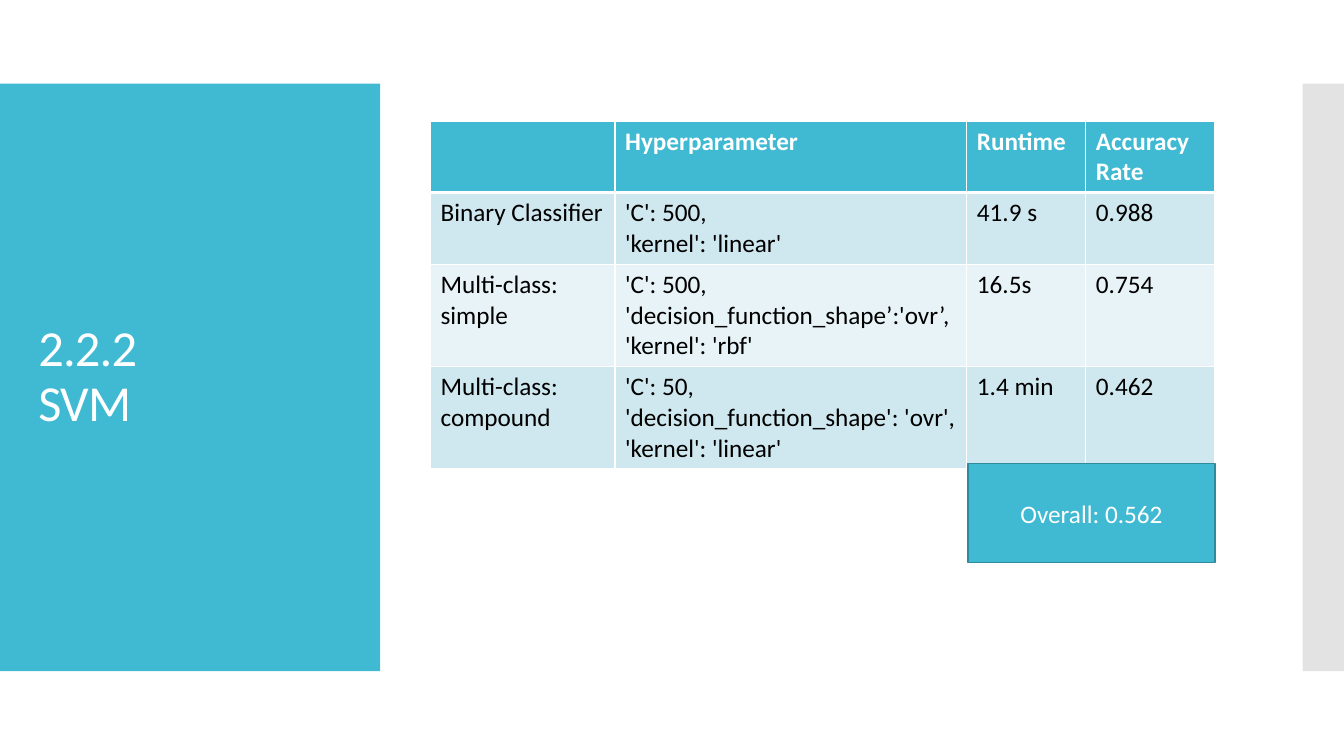
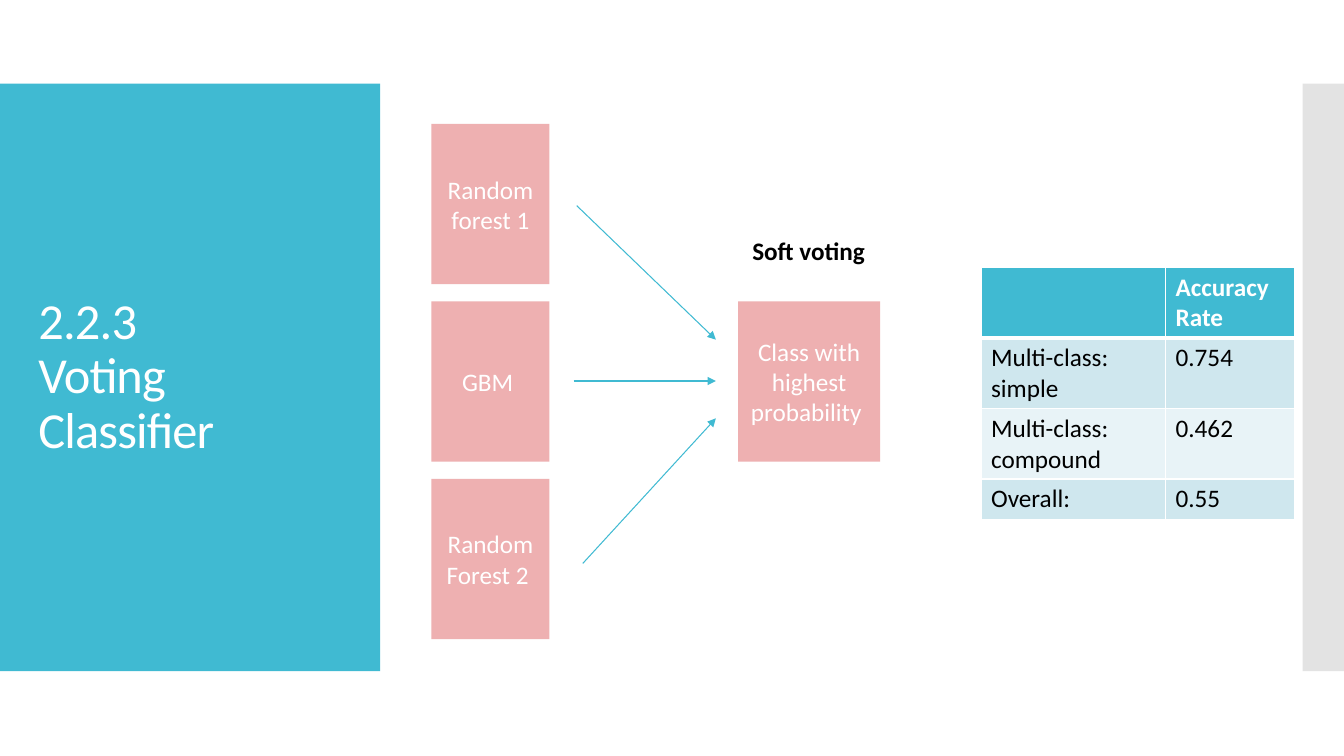
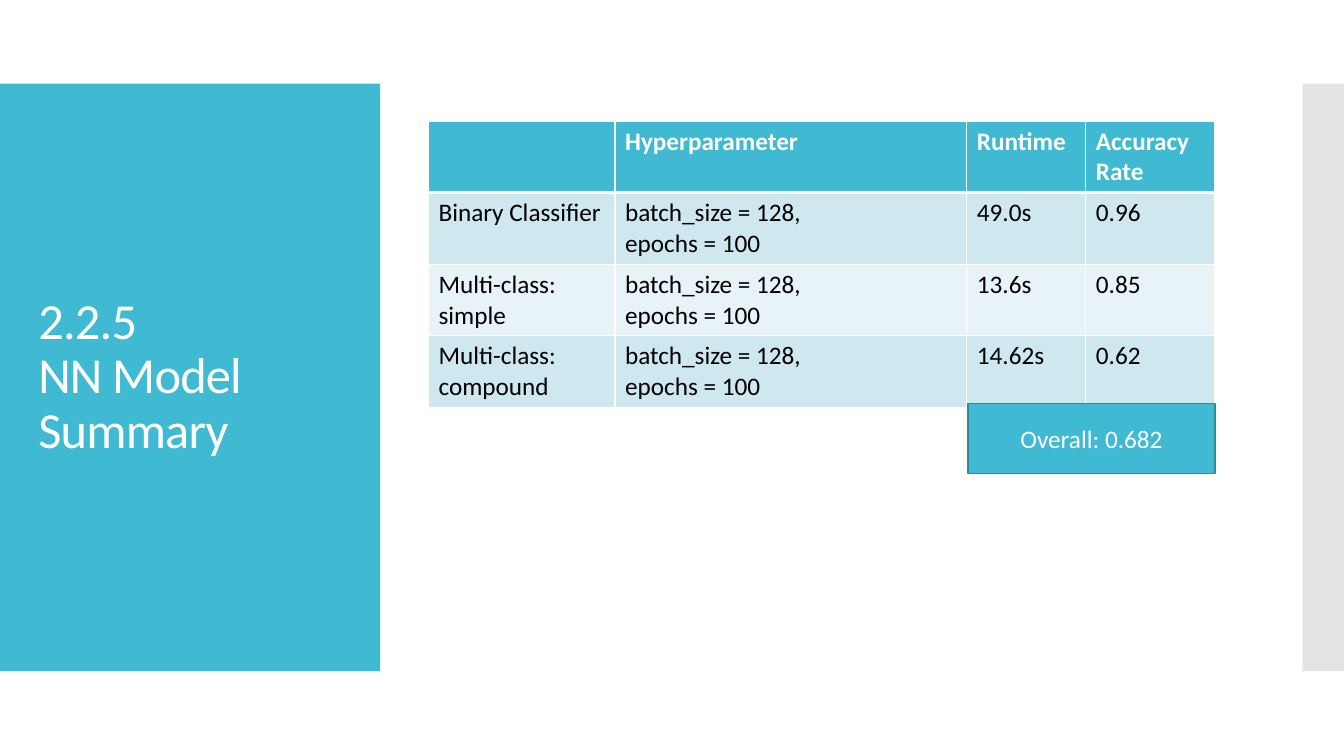
from dataclasses import dataclass

from lxml.etree import SubElement
from pptx import Presentation
from pptx.dml.color import RGBColor as RGB
from pptx.enum.shapes import MSO_CONNECTOR as CONN, MSO_SHAPE as SHAPE
from pptx.enum.text import MSO_ANCHOR as ANCHOR, MSO_AUTO_SIZE as FIT, PP_ALIGN as ALIGN
from pptx.oxml.ns import qn
from pptx.util import Inches, Pt


@dataclass(frozen=True)
class Theme:
    teal: str = "40BAD2"
    teal_dark: str = "2F8A9B"
    pink: str = "EEB0B1"
    gray: str = "C8C8C8"
    white: str = "FFFFFF"
    black: str = "000000"
    bands: tuple = ("CFE7EE", "E8F3F7")
    font: str = "Calibri"
    title_size: int = 36
    body_size: int = 18


T = Theme()


def set_text(tf, text, color, bold=False, align=ALIGN.CENTER):
    tf.word_wrap = True
    tf.text = text
    for p in tf.paragraphs:
        p.alignment = align
        for r in p.runs:
            r.font.name = T.font
            r.font.size = Pt(T.body_size)
            r.font.bold = bold
            r.font.color.rgb = RGB.from_string(color)


def add_grid(s, left, top, widths, heights, rows):
    tbl = s.shapes.add_table(len(rows), len(widths), Inches(left), Inches(top),
                             Inches(sum(widths)), Inches(sum(heights))).table
    for col, w in zip(tbl.columns, widths):
        col.width = Inches(w)
    for i, (row, h) in enumerate(zip(rows, heights)):
        tbl.rows[i].height = Inches(h)
        head = i == 0
        for j, text in enumerate(row):
            cell = tbl.cell(i, j)
            set_text(cell.text_frame, text, T.white if head else T.black, head, ALIGN.LEFT)
            # White cell borders, thick under the header
            tc_pr = cell._tc.get_or_add_tcPr()
            thick = {"lnB": i == 0, "lnT": i == 1}
            for side in ("lnL", "lnR", "lnT", "lnB"):
                ln = SubElement(tc_pr, qn("a:" + side), w=str(Pt(3 if thick.get(side) else 1)))
                SubElement(SubElement(ln, qn("a:solidFill")), qn("a:srgbClr"), val=T.white)
            cell.fill.solid()
            cell.fill.fore_color.rgb = RGB.from_string(T.teal if head else T.bands[(i - 1) % 2])


prs = Presentation()
prs.slide_width, prs.slide_height = Inches(13.33), Inches(7.5)
layout = prs.slide_layouts.get_by_name("Title Only")

# Title style, set once on the layout
title = layout.placeholders[0]
title.left, title.top, title.width, title.height = map(Inches, (0.28, 1.23, 3.22, 5.03))
title.text_frame.vertical_anchor = ANCHOR.MIDDLE
title.text_frame.auto_size = FIT.NONE
lst = title.element.find(".//" + qn("a:lstStyle"))
lst.clear()
lvl = SubElement(lst, qn("a:lvl1pPr"), algn="l")
SubElement(SubElement(lvl, qn("a:lnSpc")), qn("a:spcPct"), val="90000")
style = SubElement(lvl, qn("a:defRPr"), sz=str(T.title_size * 100), spc="-60")
SubElement(SubElement(style, qn("a:solidFill")), qn("a:srgbClr"), val=T.white)
SubElement(style, qn("a:latin"), typeface=T.font)

# Slides and their titles
slides = []
for text in ("2.2.2\vSVM", "2.2.3\vVoting\vClassifier", "2.2.5\vNN Model Summary"):
    s = prs.slides.add_slide(layout)
    s.shapes.title.text_frame.text = text
    slides.append(s)
svm, voting, network = slides

# Side bands, drawn once and moved to the layout behind the title
for left, width, color, alpha in ((0, 3.77, T.teal, 100), (12.92, 0.41, T.gray, 50)):
    sp = svm.shapes.add_shape(SHAPE.RECTANGLE, Inches(left), Inches(0.83),
                              Inches(width), Inches(5.83))
    sp.shadow.inherit = False
    sp.fill.solid()
    sp.fill.fore_color.rgb = RGB.from_string(color)
    sp.line.fill.background()
    if alpha < 100:
        clr = sp.element.spPr.find(".//" + qn("a:srgbClr"))
        SubElement(clr, qn("a:alpha"), val=str(alpha * 1000))
    layout.shapes.element.insert(2, sp.element)

# Model summaries: table with the overall score below
header = ("", "Hyperparameter", "Runtime", "Accuracy Rate")
names = ("Binary Classifier", "Multi-class:\nsimple", "Multi-class:\ncompound")
svm_rows = (
    ("'C': 500,\n'kernel': 'linear'", "41.9 s", "0.988"),
    ("'C': 500, 'decision_function_shape’:'ovr’,\n'kernel': 'rbf'", "16.5s", "0.754"),
    ("'C': 50, 'decision_function_shape': 'ovr', 'kernel': 'linear'", "1.4 min", "0.462"),
)
network_rows = [("batch_size = 128,\nepochs = 100", runtime, rate) for runtime, rate in
                (("49.0s", "0.96"), ("13.6s", "0.85"), ("14.62s", "0.62"))]
table_top, table_right = 1.2, 12.05
for s, name_width, heights, rows, overall, box_height in (
    (svm, 1.83, (0.7, 0.7, 1, 1), svm_rows, "Overall: 0.562", 0.98),
    (network, 1.85, (0.7,) * 4, network_rows, "Overall: 0.682", 0.7),
):
    widths = (name_width, 3.49, 1.18, 1.28)
    body = [(name, *row) for name, row in zip(names, rows)]
    add_grid(s, table_right - sum(widths), table_top, widths, heights, [header, *body])
    sp = s.shapes.add_shape(SHAPE.RECTANGLE, Inches(9.6), Inches(table_top + sum(heights)),
                            Inches(2.45), Inches(box_height))
    sp.shadow.inherit = False
    sp.fill.solid()
    sp.fill.fore_color.rgb = RGB.from_string(T.teal)
    sp.line.color.rgb = RGB.from_string(T.teal_dark)
    sp.line.width = Pt(0.85)
    set_text(sp.text_frame, overall, T.white)

# Voting: three models and the chosen class
box_top, box_height, box_step = 1.23, 1.59, 1.76
for text, left, row, width in (
    ("Random forest 1", 4.28, 0, 1.17),
    ("GBM ", 4.28, 1, 1.17),
    ("Random Forest 2 ", 4.28, 2, 1.17),
    ("Class with highest probability ", 7.32, 1, 1.41),
):
    sp = voting.shapes.add_shape(SHAPE.RECTANGLE, Inches(left), Inches(box_top + row * box_step),
                                 Inches(width), Inches(box_height))
    sp.shadow.inherit = False
    sp.fill.solid()
    sp.fill.fore_color.rgb = RGB.from_string(T.pink)
    sp.line.fill.background()
    set_text(sp.text_frame, text, T.white)

# Voting: arrows
for x, y, end_y in ((5.72, 2.04, 3.37), (5.69, 3.78, 3.78), (5.78, 5.59, 4.15)):
    arrow = voting.shapes.add_connector(CONN.STRAIGHT, Inches(x), Inches(y),
                                        Inches(7.1), Inches(end_y))
    arrow.line.color.rgb = RGB.from_string(T.teal)
    arrow.line.width = Pt(0.75)
    sp_pr = arrow.element.spPr
    SubElement(sp_pr.find(qn("a:ln")), qn("a:tailEnd"), type="triangle")
    SubElement(sp_pr, qn("a:effectLst"))

# Voting: label and scores
label = voting.shapes.add_textbox(Inches(7.03), Inches(1.98), Inches(1.98), Inches(1))
label.text_frame.vertical_anchor = ANCHOR.MIDDLE
set_text(label.text_frame, "Soft voting", T.black, bold=True)
add_grid(voting, 9.73, 2.65, (1.83, 1.28), (0.7, 0.7, 0.7, 0.4), [
    ("", "Accuracy Rate"),
    (names[1], "0.754"),
    (names[2], "0.462"),
    ("Overall:", "0.55"),
])

prs.save("out.pptx")
